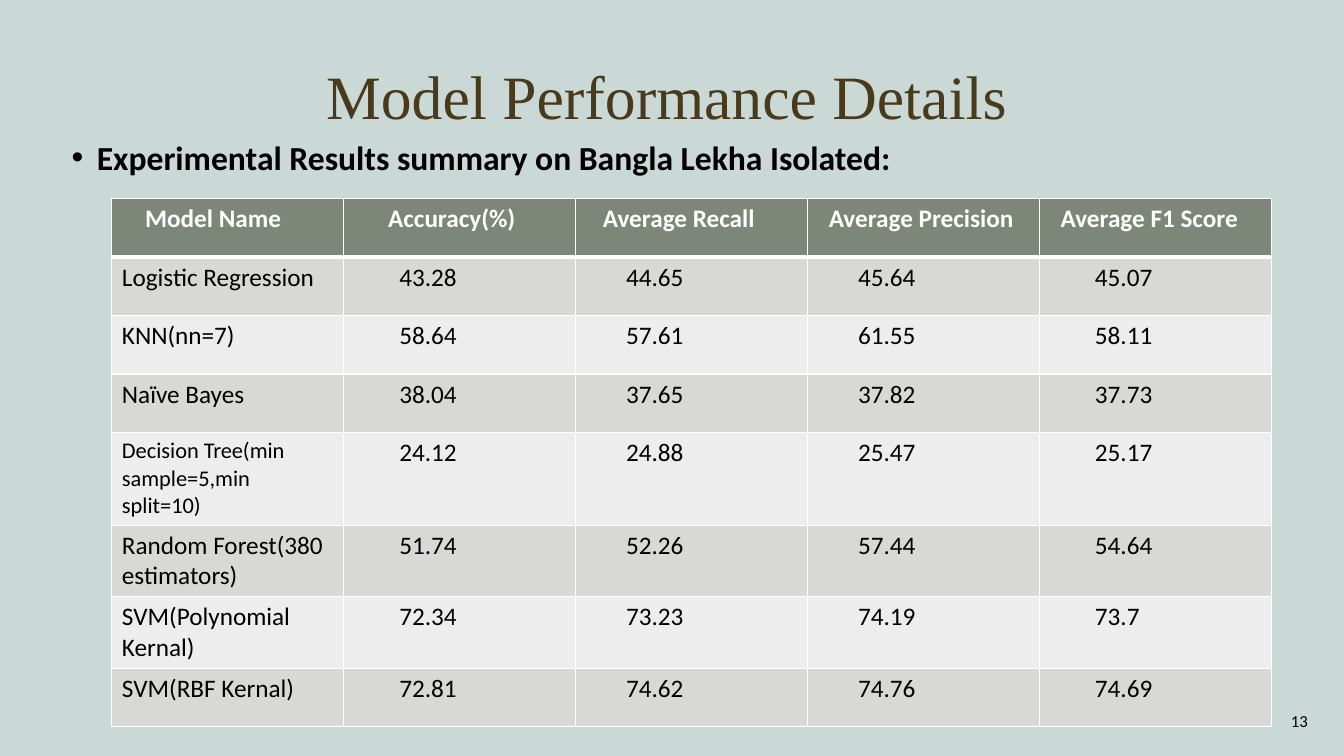
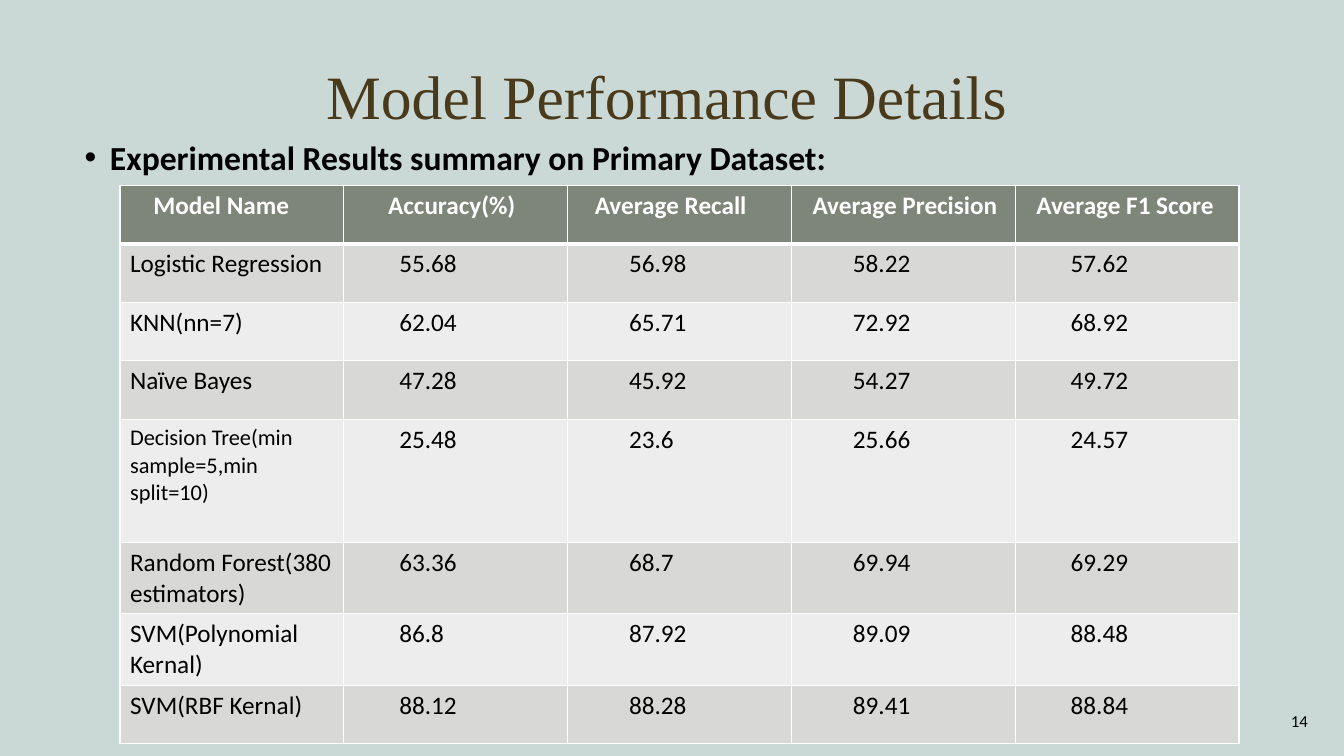
from dataclasses import dataclass

from lxml import etree
from pptx import Presentation
from pptx import util as u
from pptx.dml.color import RGBColor
from pptx.enum import text as t
from pptx.oxml import ns

COLORS = {
    "back": "CAD8D6",
    "title": "4A3A1C",
    "ink": "000000",
    "white": "FFFFFF",
    "head": "7E8679",
    "odd": "D8D9D7",
    "even": "ECEDEC",
}
SERIF = "Times New Roman"
SANS = "Calibri"

HEADS = ("Model Name", "Accuracy(%)", "Average Recall",
         "Average Precision", "Average F1 Score")
HEAD_INDENTS = (0.23, 0.34, 0.17, 0.11, 0.11)
MODELS = ("Logistic Regression", "KNN(nn=7)", "Naïve Bayes",
          "Decision Tree(min sample=5,min split=10)",
          "Random Forest(380 estimators)", "SVM(Polynomial Kernal)",
          "SVM(RBF Kernal)")
TREE_ROW = 4
ROW = 0.58
TALL = 0.71


@dataclass(frozen=True)
class Result:
    number: int
    lead: str
    lead_left: float
    left: float
    top: float
    col: float
    tree: float
    indents: tuple[float, ...]
    scores: tuple[tuple[str, ...], ...]


RESULTS = (
    Result(
        number=13, lead="Experimental Results summary on Bangla Lekha Isolated:",
        lead_left=0.61, left=1.11, top=1.97, col=2.3, tree=0.92,
        indents=(0, 0.45, 0.4, 0.4, 0.45),
        scores=(
            ("43.28", "44.65", "45.64", "45.07"),
            ("58.64", "57.61", "61.55", "58.11"),
            ("38.04", "37.65", "37.82", "37.73"),
            ("24.12", "24.88", "25.47", "25.17"),
            ("51.74", "52.26", "57.44", "54.64"),
            ("72.34", "73.23", "74.19", "73.7"),
            ("72.81", "74.62", "74.76", "74.69"),
        ),
    ),
    Result(
        number=14, lead="Experimental Results summary on Primary Dataset:",
        lead_left=0.74, left=1.19, top=1.84, col=2.22, tree=1.22,
        indents=(0, 0.45, 0.51, 0.51, 0.45),
        scores=(
            ("55.68", "56.98", "58.22", "57.62"),
            ("62.04", "65.71", "72.92", "68.92"),
            ("47.28", "45.92", "54.27", "49.72"),
            ("25.48", "23.6", "25.66", "24.57"),
            ("63.36", "68.7", "69.94", "69.29"),
            ("86.8", "87.92", "89.09", "88.48"),
            ("88.12", "88.28", "89.41", "88.84"),
        ),
    ),
)


def rgb(key: str) -> RGBColor:
    return RGBColor.from_string(COLORS[key])


def place(shape, left: float, top: float, width: float, height: float) -> None:
    shape.left, shape.top = u.Inches(left), u.Inches(top)
    shape.width, shape.height = u.Inches(width), u.Inches(height)


def write(para, words: str, size: float, color: str = "ink",
          font: str = SANS, bold: bool = False) -> None:
    run = para.add_run()
    run.text = words
    run.font.name = font
    run.font.size = u.Pt(size)
    run.font.bold = bold
    run.font.color.rgb = rgb(color)


def indent(para, left: float, first: float = 0) -> None:
    props = para._p.get_or_add_pPr()
    props.set("marL", str(u.Inches(left)))
    props.set("indent", str(u.Inches(first)))


def add_title(slide) -> None:
    title = slide.shapes.title
    place(title, 0.92, 0.42, 11.39, 1.13)
    frame = title.text_frame
    frame.auto_size = t.MSO_AUTO_SIZE.NONE
    frame.vertical_anchor = t.MSO_ANCHOR.MIDDLE
    para = frame.paragraphs[0]
    para.alignment = t.PP_ALIGN.CENTER
    para.line_spacing = 0.9
    write(para, "Model Performance Details", 44, "title", SERIF)


def add_number(slide, number: int) -> None:
    box = slide.shapes.add_textbox(u.Inches(10.07), u.Inches(6.95),
                                   u.Inches(3), u.Inches(0.4))
    frame = box.text_frame
    frame.word_wrap = True
    frame.vertical_anchor = t.MSO_ANCHOR.MIDDLE
    para = frame.paragraphs[0]
    para.alignment = t.PP_ALIGN.RIGHT
    write(para, str(number), 12)


def add_lead(slide, words: str, left: float) -> None:
    body = slide.placeholders[1]
    place(body, left, 1.35, 12, 5)
    frame = body.text_frame
    frame.auto_size = t.MSO_AUTO_SIZE.NONE
    para = frame.paragraphs[0]
    para.line_spacing = 0.9
    para.space_before = u.Pt(10)
    indent(para, 0.25, -0.25)
    write(para, words, 24, bold=True)


def edge(cell, side: str, width: float) -> None:
    """Draw one white border; call before the cell gets its fill."""
    props = cell._tc.get_or_add_tcPr()
    line = etree.SubElement(props, ns.qn(f"a:ln{side}"), w=str(u.Pt(width)))
    fill = etree.SubElement(line, ns.qn("a:solidFill"))
    etree.SubElement(fill, ns.qn("a:srgbClr"), val=COLORS["white"])


def fill_cell(cell, row: int, words: str, left: float) -> None:
    head = row == 0
    widths = {"L": 1, "R": 1, "T": 3 if row == 1 else 1, "B": 3 if head else 1}
    for side, width in widths.items():
        edge(cell, side, width)
    cell.fill.solid()
    shade = "head" if head else "odd" if row % 2 else "even"
    cell.fill.fore_color.rgb = rgb(shade)
    para = cell.text_frame.paragraphs[0]
    indent(para, left)
    size = 16 if words == MODELS[TREE_ROW - 1] else 18
    write(para, words, size, "white" if head else "ink", bold=head)


def add_scores(slide, result: Result) -> None:
    rows = [HEADS] + [(name, *vals) for name, vals in zip(MODELS, result.scores)]
    highs = [ROW] * TREE_ROW + [result.tree, TALL, TALL, ROW]
    frame = slide.shapes.add_table(
        len(rows), len(HEADS), u.Inches(result.left), u.Inches(result.top),
        u.Inches(result.col * len(HEADS)), u.Inches(sum(highs)))
    table = frame.table
    table.horz_banding = False
    for col in table.columns:
        col.width = u.Inches(result.col)
    for r, (words, high) in enumerate(zip(rows, highs)):
        table.rows[r].height = u.Inches(high)
        lefts = result.indents if r else HEAD_INDENTS
        for c, (word, left) in enumerate(zip(words, lefts)):
            fill_cell(table.cell(r, c), r, word, left)


def main() -> None:
    deck = Presentation()
    deck.slide_width, deck.slide_height = u.Inches(13.33), u.Inches(7.5)
    back = deck.slide_master.background.fill
    back.solid()
    back.fore_color.rgb = rgb("back")
    for result in RESULTS:
        slide = deck.slides.add_slide(deck.slide_layouts[1])
        add_title(slide)
        add_number(slide, result.number)
        add_lead(slide, result.lead, result.lead_left)
        add_scores(slide, result)
    deck.save("out.pptx")


if __name__ == "__main__":
    main()
